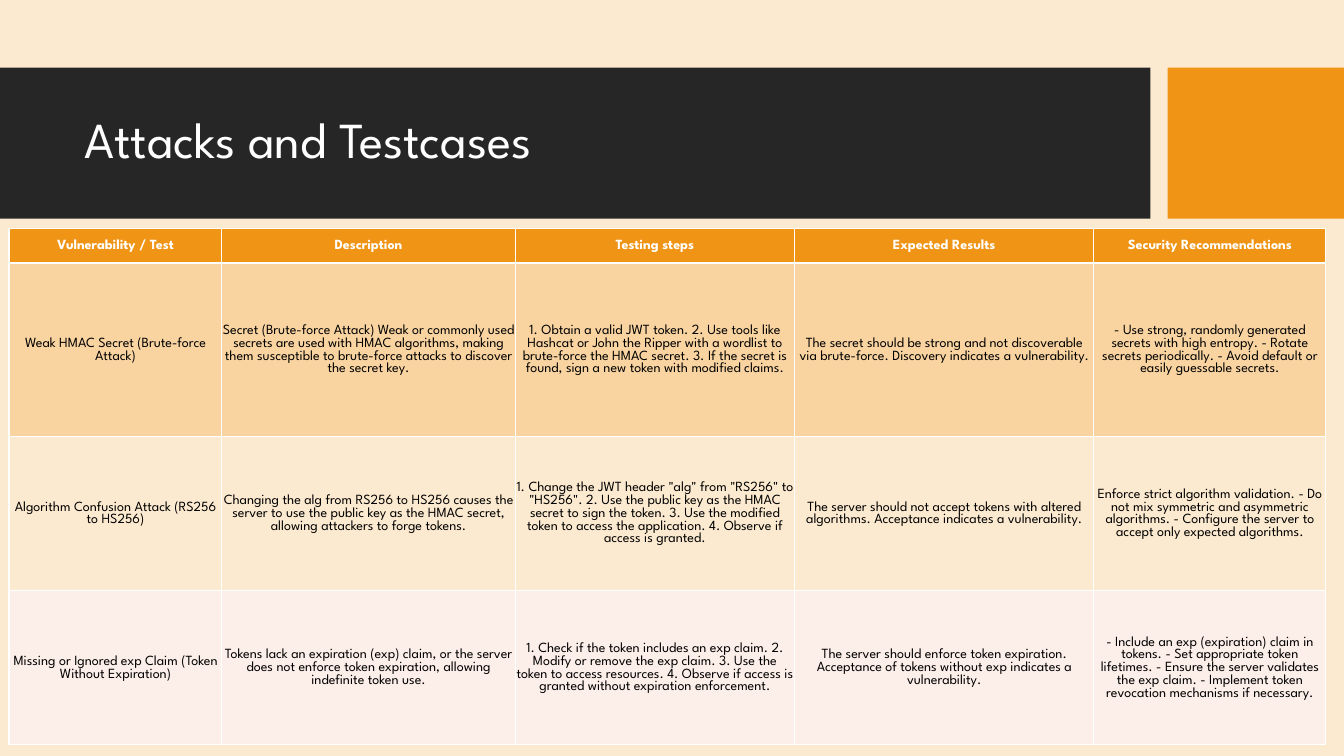
"""Builds the slide on attacks and test cases against JWT tokens."""
from lxml import etree
from pptx import Presentation
from pptx.dml.color import RGBColor
from pptx.enum import shapes, text
from pptx.oxml import ns
from pptx.util import Inches, Pt

FONT = "League Spartan"
CREAM = RGBColor(0xFC, 0xEA, 0xD0)
CHARCOAL = RGBColor(0x26, 0x26, 0x26)
ORANGE = RGBColor(0xF0, 0x94, 0x15)
PEACH = RGBColor(0xF9, 0xD4, 0xA1)
BLUSH = RGBColor(0xFC, 0xEE, 0xE8)
WHITE = RGBColor(0xFF, 0xFF, 0xFF)
BLACK = RGBColor(0, 0, 0)

COLUMN_WIDTHS = [2.11, 2.91, 2.77, 2.97, 2.3]
ROW_HEIGHTS = [0.34, 1.72, 1.53, 1.53]
ROW_FILLS = [ORANGE, PEACH, CREAM, BLUSH]
ROWS = [
    ["Vulnerability / Test", "Description", "Testing steps", "Expected Results",
     "Security Recommendations"],
    ["Weak HMAC Secret (Brute-force Attack)",
     "Secret (Brute-force Attack) Weak or commonly used secrets are used with HMAC "
     "algorithms, making them susceptible to brute-force attacks to discover the secret key.",
     "1. Obtain a valid JWT token. 2. Use tools like Hashcat or John the Ripper with a "
     "wordlist to brute-force the HMAC secret. 3. If the secret is found, sign a new token "
     "with modified claims.",
     "The secret should be strong and not discoverable via brute-force. Discovery "
     "indicates a vulnerability.",
     "- Use strong, randomly generated secrets with high entropy. - Rotate secrets "
     "periodically. - Avoid default or easily guessable secrets."],
    ["Algorithm Confusion Attack (RS256 to HS256)",
     "Changing the alg from RS256 to HS256 causes the server to use the public key as the "
     "HMAC secret, allowing attackers to forge tokens.",
     '1. Change the JWT header "alg" from "RS256" to "HS256". 2. Use the public key as the '
     "HMAC secret to sign the token. 3. Use the modified token to access the application. "
     "4. Observe if access is granted.",
     "The server should not accept tokens with altered algorithms. Acceptance indicates a "
     "vulnerability.",
     "Enforce strict algorithm validation. - Do not mix symmetric and asymmetric "
     "algorithms. - Configure the server to accept only expected algorithms."],
    ["Missing or Ignored exp Claim (Token Without Expiration)",
     "Tokens lack an expiration (exp) claim, or the server does not enforce token "
     "expiration, allowing indefinite token use.",
     "1. Check if the token includes an exp claim. 2. Modify or remove the exp claim. "
     "3. Use the token to access resources. 4. Observe if access is granted without "
     "expiration enforcement.",
     "The server should enforce token expiration. Acceptance of tokens without exp "
     "indicates a vulnerability.",
     "- Include an exp (expiration) claim in tokens. - Set appropriate token lifetimes. "
     "- Ensure the server validates the exp claim. - Implement token revocation mechanisms "
     "if necessary."],
]


def set_all(target, values):
    for name, value in values.items():
        setattr(target, name, value)


def write(paragraph, words, size, color, bold=False):
    span = paragraph.add_run()
    span.text = words
    set_all(span.font, {"name": FONT, "size": Pt(size), "bold": bold})
    span.font.color.rgb = color


def add_band(page, left, width, color):
    band = page.shapes.add_shape(shapes.MSO_SHAPE.RECTANGLE, Inches(left), Inches(0.67),
                                 Inches(width), Inches(1.5))
    band.shadow.inherit = False
    band.fill.solid()
    band.fill.fore_color.rgb = color
    band.line.fill.background()


def add_title(page, words):
    box = page.shapes.add_textbox(Inches(0.74), Inches(0.82), Inches(10.51), Inches(1.18))
    set_all(box.text_frame, {"word_wrap": True, "vertical_anchor": text.MSO_ANCHOR.MIDDLE})
    paragraph = box.text_frame.paragraphs[0]
    paragraph.line_spacing = 0.9
    write(paragraph, words, 36, WHITE)


def add_borders(cell, color):
    properties = cell._tc.get_or_add_tcPr()
    for side in ("lnL", "lnR", "lnT", "lnB"):
        line = etree.SubElement(properties, ns.qn(f"a:{side}"), w=str(Pt(1)))
        fill = etree.SubElement(line, ns.qn("a:solidFill"))
        etree.SubElement(fill, ns.qn("a:srgbClr"), val=str(color))


def fill_cell(cell, words, color, header):
    set_all(cell, {
        "vertical_anchor": text.MSO_ANCHOR.MIDDLE,
        "margin_left": Inches(0.01),
        "margin_right": Inches(0.01),
        "margin_top": Inches(0.01),
        "margin_bottom": Inches(0),
    })
    add_borders(cell, WHITE)
    cell.fill.solid()
    cell.fill.fore_color.rgb = color
    paragraph = cell.text_frame.paragraphs[0]
    paragraph.alignment = text.PP_ALIGN.CENTER
    write(paragraph, words, 10, WHITE if header else BLACK, header)


def add_attack_table(page):
    table = page.shapes.add_table(
        len(ROWS), len(COLUMN_WIDTHS), Inches(0.09), Inches(2.27),
        Inches(sum(COLUMN_WIDTHS)), Inches(sum(ROW_HEIGHTS))).table
    for column, width in zip(table.columns, COLUMN_WIDTHS):
        column.width = Inches(width)
    for index, (row, height) in enumerate(zip(table.rows, ROW_HEIGHTS)):
        row.height = Inches(height)
        for cell, words in zip(row.cells, ROWS[index]):
            fill_cell(cell, words, ROW_FILLS[index], index == 0)


def main():
    deck = Presentation()
    set_all(deck, {"slide_width": Inches(13.33), "slide_height": Inches(7.5)})
    page = deck.slides.add_slide(deck.slide_layouts[6])
    page.background.fill.solid()
    page.background.fill.fore_color.rgb = CREAM
    add_band(page, 0, 11.41, CHARCOAL)
    add_band(page, 11.58, 1.75, ORANGE)
    add_title(page, "Attacks and Testcases")
    add_attack_table(page)
    deck.save("out.pptx")


if __name__ == "__main__":
    main()
